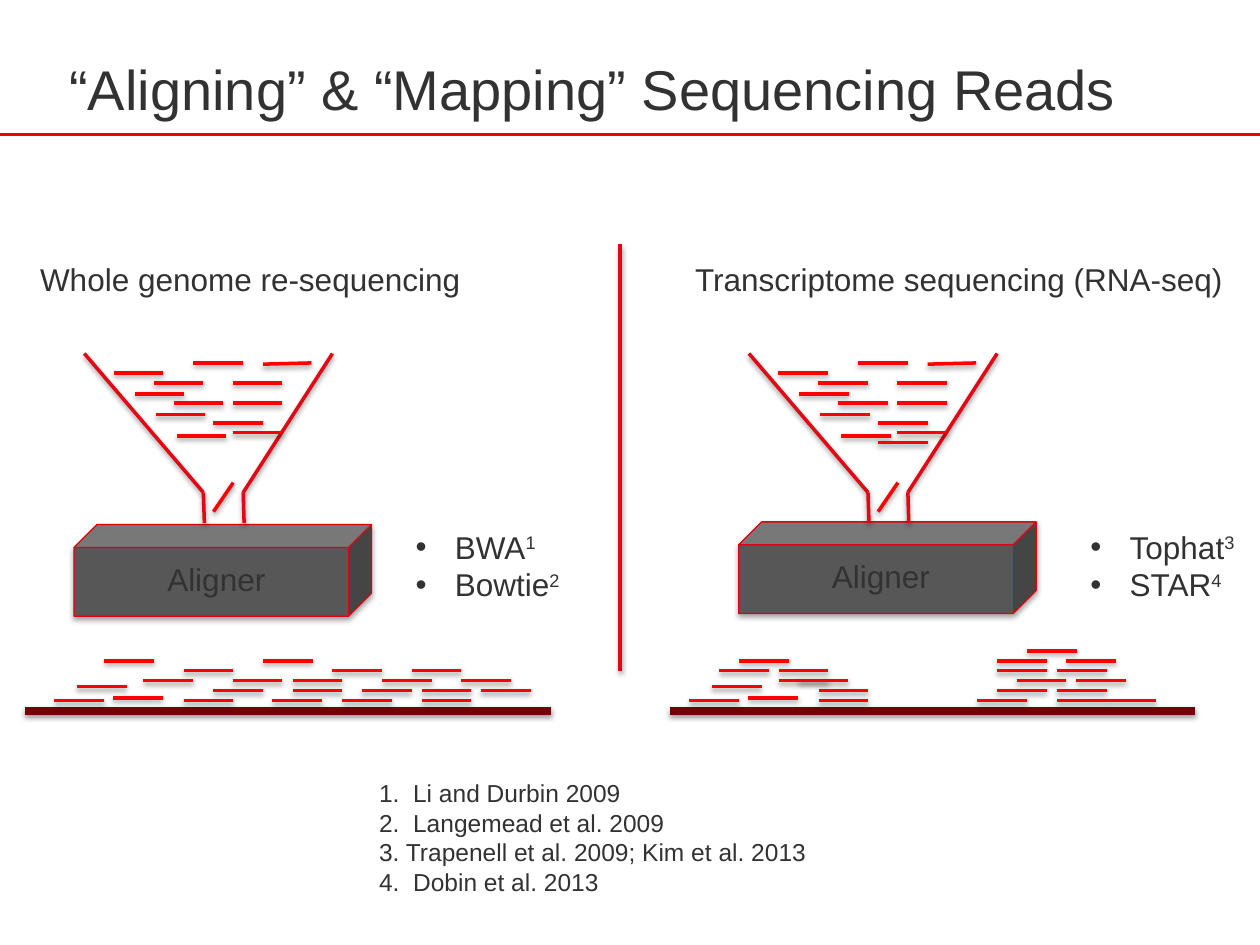
import pptx
import pptx.util
import pptx.dml.color
import pptx.enum.shapes
import pptx.enum.text
import pptx.oxml
import pptx.oxml.ns

Pt = pptx.util.Pt
HUES = {"text": "323232", "rule": "E30613", "read": "FF0000",
        "base": "720309", "box": "575757", "edge": "E2000E"}
READ = 28.4    # length of a read
SIDE = 379.8   # from the left funnel to the right one
FLOOR = 400.3  # lowest row of aligned reads
STEP = 5.68    # gap between rows of aligned reads


def rgb(name):
    return pptx.dml.color.RGBColor.from_string(HUES[name])


class Deck:
    def __init__(self, wide, high):
        self.file = pptx.Presentation()
        self.file.slide_width, self.file.slide_height = Pt(wide), Pt(high)
        self.slide = self.file.slides.add_slide(self.file.slide_layouts[6])
        self.face = "Arial"

    def shade(self, item, alpha, dist):
        props = item._element.spPr
        for old in props.findall(pptx.oxml.ns.qn("a:effectLst")):
            props.remove(old)
        space = pptx.oxml.ns.nsdecls("a")
        cast = (f'<a:outerShdw blurRad="{Pt(3.1)}" dist="{Pt(dist)}" dir="5400000" rotWithShape="0">'
                f'<a:srgbClr val="000000"><a:alpha val="{alpha * 1000}"/></a:srgbClr>'
                '</a:outerShdw>') if alpha else ""
        props.append(pptx.oxml.parse_xml(f"<a:effectLst {space}>{cast}</a:effectLst>"))

    def line(self, x1, y1, x2, y2, hue="rule", width=2, alpha=38):
        kind = pptx.enum.shapes.MSO_CONNECTOR.STRAIGHT
        item = self.slide.shapes.add_connector(kind, Pt(x1), Pt(y1), Pt(x2), Pt(y2))
        item.line.color.rgb = rgb(hue)
        item.line.width = Pt(width)
        self.shade(item, alpha, 1.6)

    def read(self, x, y):
        self.line(x, y, x + READ, y, "read")

    def cube(self, x, y, w, h):
        kind = pptx.enum.shapes.MSO_SHAPE.CUBE
        item = self.slide.shapes.add_shape(kind, Pt(x), Pt(y), Pt(w), Pt(h))
        item.shadow.inherit = False
        item.fill.solid()
        item.fill.fore_color.rgb = rgb("box")
        item.line.color.rgb = rgb("edge")
        item.line.width = Pt(0.75)
        self.shade(item, 35, 1.8)

    def text(self, x, y, w, h, lines, size=18, title=False, dots=False):
        """Each line is a string or a (word, superscript) pair."""
        frame = self.slide.shapes.add_textbox(Pt(x), Pt(y), Pt(w), Pt(h)).text_frame
        frame.word_wrap = True
        frame.margin_right = 0  # spare room, so tight boxes keep one line
        if title:
            frame.vertical_anchor = pptx.enum.text.MSO_ANCHOR.MIDDLE
            frame.margin_left = frame.margin_top = frame.margin_bottom = 0
        for i, parts in enumerate(lines):
            para = frame.add_paragraph() if i else frame.paragraphs[0]
            if dots:
                self.dot(para)
            para.font.name, para.font.size = self.face, Pt(size)
            para.font.color.rgb = rgb("text")
            word, *notes = [parts] if isinstance(parts, str) else parts
            para.add_run().text = word
            for note in notes:
                run = para.add_run()
                run.text = note
                run._r.get_or_add_rPr().set("baseline", "30000")

    def dot(self, para):
        props = para._p.get_or_add_pPr()
        props.set("marL", str(Pt(22.5)))
        props.set("indent", str(-Pt(22.5)))
        space = pptx.oxml.ns.nsdecls("a")
        for xml in (f'<a:buClr {space}><a:srgbClr val="{HUES["text"]}"/></a:buClr>',
                    f'<a:buFont {space} typeface="{self.face}"/>',
                    f'<a:buChar {space} char="•"/>'):
            props.append(pptx.oxml.parse_xml(xml))

    def funnel(self, dx):
        # Walls and spout
        for x1, y1, x2, y2 in ((48.2, 202, 116.2, 281.4), (190, 202, 139, 281.4),
                               (139, 281.4, 139.5, 298.8), (116.2, 281.4, 116.8, 298.8)):
            self.line(x1 + dx, y1, x2 + dx, y2)
        # Reads inside, with one tilted and one falling out
        for x, y in LOOSE:
            self.read(x + dx, y)
        self.line(150.3 + dx, 208.1, 178 + dx, 207.4, "read")
        self.line(122 + dx, 292.4, 133.3 + dx, 275.8, "read")

    def pile(self, rows):
        for row, starts in rows.items():
            for x in starts:
                self.read(x, FLOOR - STEP * row)


LOOSE = ((64.9, 213.1), (76.9, 225.2), (89, 237), (101, 249.1), (87.8, 218.9),
         (99.2, 230.4), (133, 247.2), (133, 230.4), (133, 218.9), (122, 241.6),
         (110.4, 207.4))
# Row number: left ends of the aligned reads
GENOME = {0: (31, 105, 155.7, 195.6, 241), 0.25: (64.6,),
          1: (121.9, 167.2, 206.9, 241, 274.8), 1.4: (44,),
          2: (82, 133, 167.2, 218.4, 263.6), 3: (105, 190, 235.3),
          4: (59.6, 150.3)}
GENES = {0: (394, 467.8, 558.5, 603.9, 632.2), 0.25: (427.6,),
         1: (467.8, 569.7, 603.9), 1.4: (406.9,),
         2: (445, 456.3, 581, 615.1), 3: (411, 445, 569.7, 603.9),
         4: (422.5, 569.7, 609.3), 5: (586.8,)}
# Heading and its box, cube corner, tools and their left, base line, reads
PANELS = (
    ("Whole genome re-sequencing", 15.8, 253.4, 0, 299.7,
     (("BWA", "1"), ("Bowtie", "2")), 230.4, 14.2, GENOME),
    ("Transcriptome sequencing (RNA-seq)", 390.2, 314.6, SIDE, 298.2,
     (("Tophat", "3"), ("STAR", "4")), 616, 382.6, GENES))


def main():
    deck = Deck(720, 540)
    # Title and rules
    deck.line(0, 76.9, 720, 76.9, width=1.5, alpha=0)
    deck.text(39.6, 31.9, 638, 37.4, ["“Aligning” & “Mapping” Sequencing Reads"],
              size=32, title=True)
    deck.line(354.4, 139.7, 354.4, 383.2)
    # Two workflows
    for head, left, wide, dx, top, tools, list_x, base, rows in PANELS:
        deck.text(left, 145.2, wide, 28.8, [head])
        deck.cube(42.3 + dx, top, 170, 52.4)
        deck.text(88.5 + dx, top + 16.8, 70, 28.8, ["Aligner"])
        deck.text(list_x, 298, 96.5, 50.4, tools, dots=True)
        deck.funnel(dx)
        deck.line(base, 406.1, base + 300.5, 406.1, "base", 4.5)
        deck.pile(rows)
    deck.read(501.8, 252.8)
    # References
    deck.text(209.5, 441.2, 278, 74.2,
              ["1.  Li and Durbin 2009", "2.  Langemead et al. 2009",
               "3. Trapenell et al. 2009; Kim et al. 2013", "4.  Dobin et al. 2013"],
              size=14)
    deck.file.save("out.pptx")


if __name__ == "__main__":
    main()
